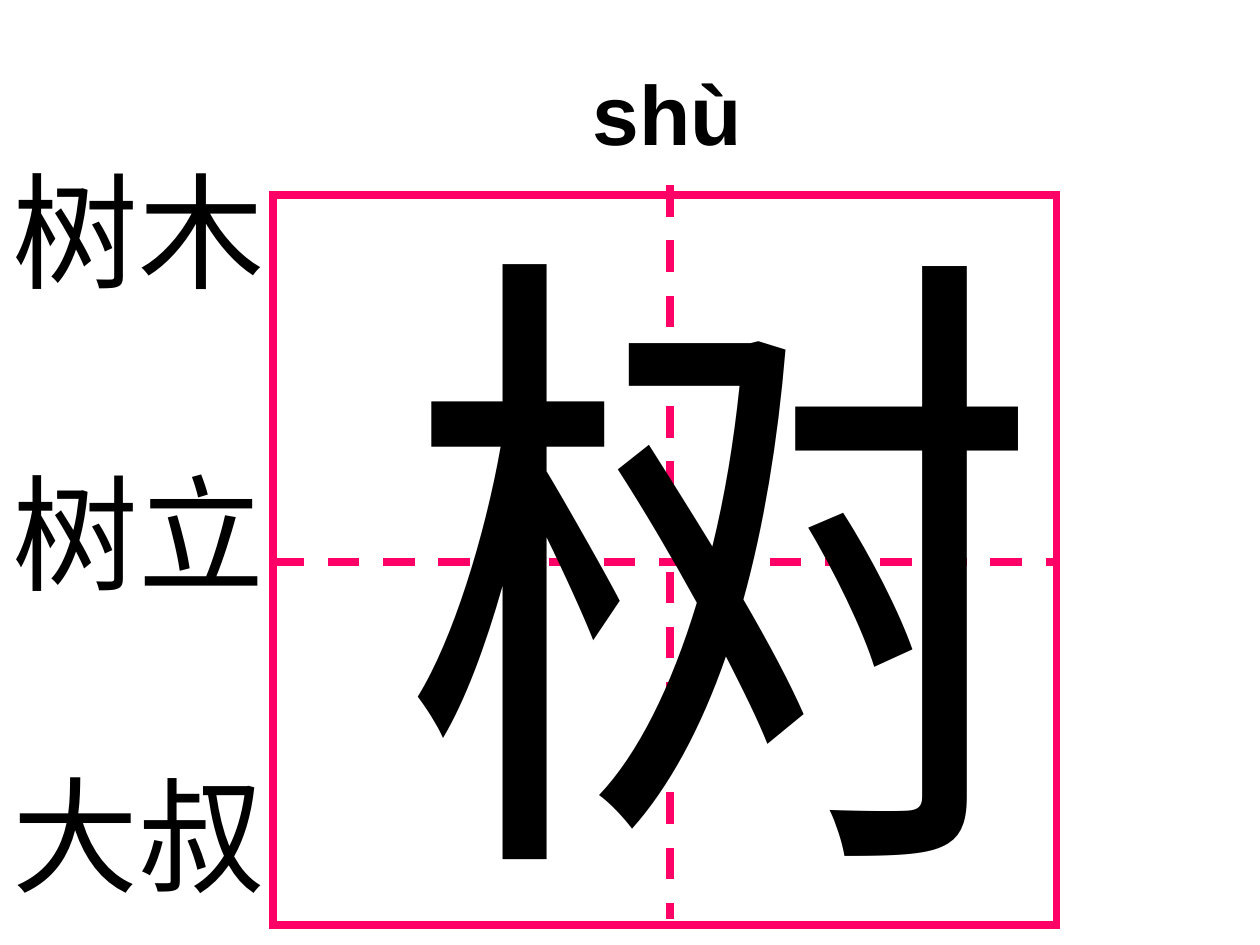
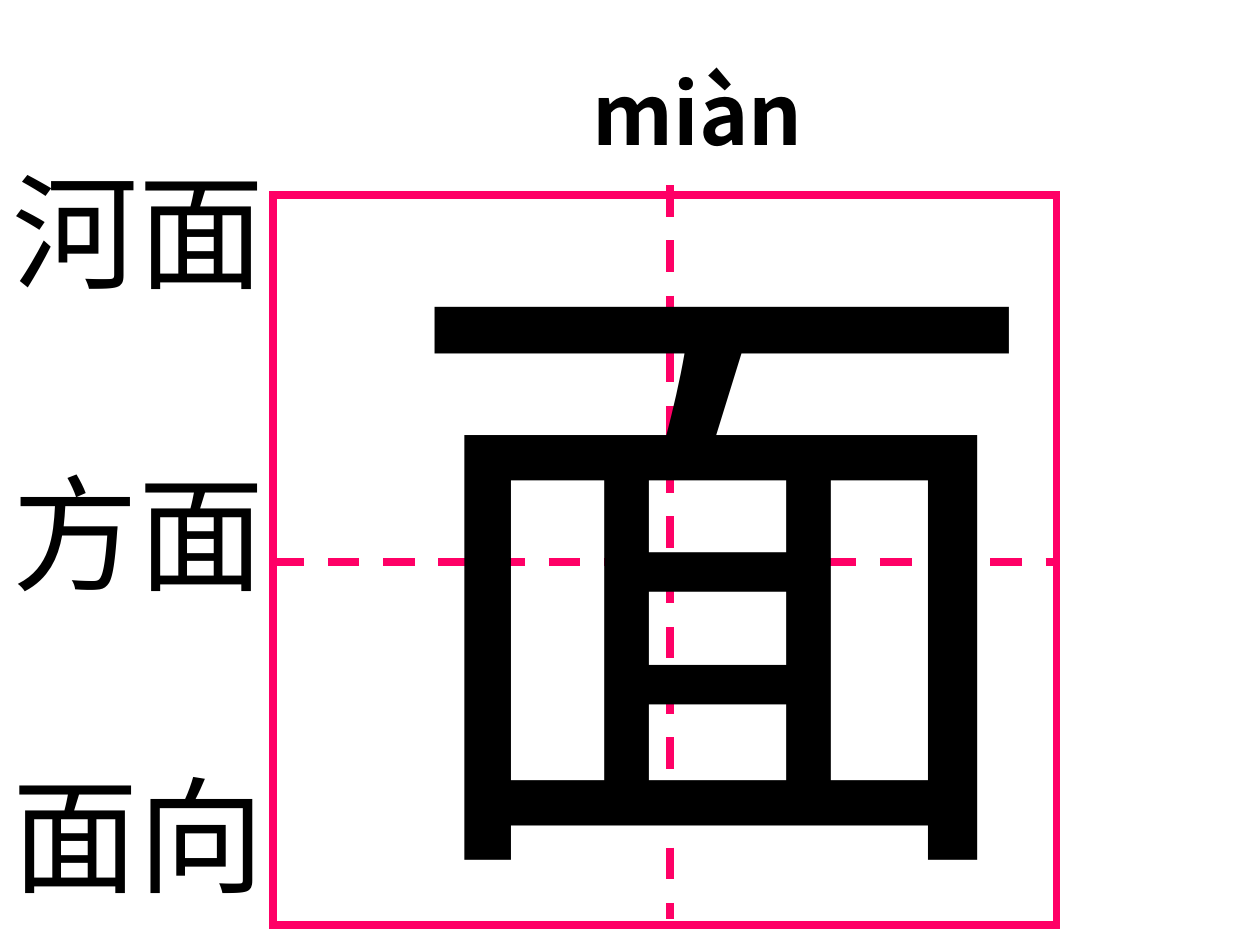
import pptx
import pptx.util
import pptx.dml.color
import pptx.enum.dml
import pptx.enum.shapes
import pptx.enum.text
import pptx.oxml
import pptx.oxml.ns

Pt = pptx.util.Pt

CHARACTERS = [
    {"pinyin": "shù", "pinyin_font": "Arial", "character": "树",
     "words": ["树木", "树立", "大叔"]},
    {"pinyin": "miàn", "pinyin_font": "Noto Sans CJK SC", "character": "面",
     "words": ["河面", "方面", "面向"]},
]

INK = "000000"
GRID_PINK = "FF0066"
GRID_WEIGHT = 4.5
CHINESE_FONT = "Noto Sans CJK SC"
LINE_RATIO = 1.2

PINYIN_BOX = (331.5, 31.7, 232.5, 65)
WORDS_BOX = (0, 84.2, 191.5, 439)
CHARACTER_BOX = (220.3, 88.6, 384.5, 451.4)
GRID_BOX = (155.8, 111.6, 448, 417.2)
GRID_MIDDLE_X, GRID_MIDDLE_Y = 382.7, 321.1
GRID_RISE = 5.8
WORD_PITCH = 172.6


def color(hex_code):
    return pptx.dml.color.RGBColor.from_string(hex_code)


def element(tag, attributes=""):
    return pptx.oxml.parse_xml(f'<a:{tag} {pptx.oxml.ns.nsdecls("a")} {attributes}/>')


def write(shape, text, *, font, size, bold=False, pitch=0, wrap=True):
    frame = shape.text_frame
    frame.text = text
    frame.word_wrap = wrap
    frame.auto_size = pptx.enum.text.MSO_AUTO_SIZE.NONE
    frame.vertical_anchor = pptx.enum.text.MSO_ANCHOR.TOP
    line_height = round(size * LINE_RATIO, 1)
    for index, paragraph in enumerate(frame.paragraphs):
        properties = paragraph._p.get_or_add_pPr()
        properties.set("marL", "0")
        properties.set("indent", "0")
        properties.append(element("buNone"))
        paragraph.alignment = pptx.enum.text.PP_ALIGN.LEFT
        paragraph.line_spacing = Pt(line_height)
        paragraph.space_before = Pt(pitch - line_height if index else 0)
        for run in paragraph.runs:
            run.font.name = font
            run.font.size = Pt(size)
            run.font.bold = bold
            run.font.color.rgb = color(INK)
            latin = run.font._element.find(pptx.oxml.ns.qn("a:latin"))
            latin.addnext(element("ea", f'typeface="{CHINESE_FONT}"'))


def place(shape, box):
    shape.left, shape.top, shape.width, shape.height = map(Pt, box)


def style_grid_line(line):
    line.color.rgb = color(GRID_PINK)
    line.width = Pt(GRID_WEIGHT)


def draw_guide(slide, *ends):
    guide = slide.shapes.add_connector(
        pptx.enum.shapes.MSO_CONNECTOR.STRAIGHT, *map(Pt, ends))
    style_grid_line(guide.line)
    guide.line.dash_style = pptx.enum.dml.MSO_LINE.DASH
    guide._element.spPr.append(element("effectLst"))


def draw_grid(slide):
    left, top, width, height = GRID_BOX
    border = slide.shapes.add_shape(
        pptx.enum.shapes.MSO_SHAPE.RECTANGLE, *map(Pt, GRID_BOX))
    border.shadow.inherit = False
    border.fill.background()
    style_grid_line(border.line)
    outline = border._element.spPr.find(pptx.oxml.ns.qn("a:ln"))
    outline.append(element("miter", 'lim="800000"'))
    draw_guide(slide, left, GRID_MIDDLE_Y, left + width, GRID_MIDDLE_Y)
    draw_guide(slide, GRID_MIDDLE_X, top - GRID_RISE,
               GRID_MIDDLE_X, top + height - GRID_RISE + 2)


def build_slide(deck, entry):
    slide = deck.slides.add_slide(deck.slide_layouts[1])
    pinyin, words = slide.shapes.title, slide.placeholders[1]
    place(pinyin, PINYIN_BOX)
    write(pinyin, entry["pinyin"], font=entry["pinyin_font"], size=48, bold=True)
    place(words, WORDS_BOX)
    write(words, "\n".join(entry["words"]), font="Arial", size=72, pitch=WORD_PITCH)
    draw_grid(slide)
    character = slide.shapes.add_textbox(*map(Pt, CHARACTER_BOX))
    write(character, entry["character"], font="Times New Roman", size=370, wrap=False)


def main():
    deck = pptx.Presentation()
    deck.slide_width, deck.slide_height = Pt(720), Pt(540)
    for entry in CHARACTERS:
        build_slide(deck, entry)
    deck.save("out.pptx")


if __name__ == "__main__":
    main()
